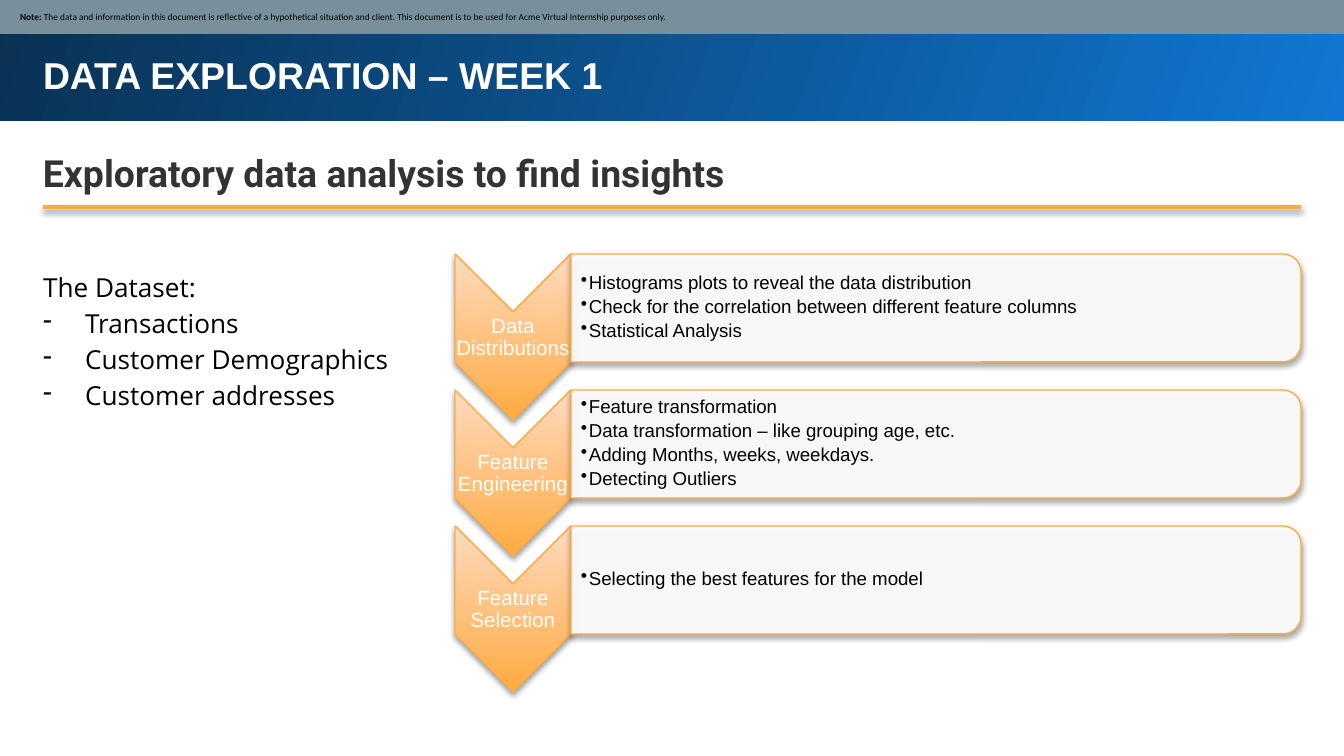
from dataclasses import dataclass

from pptx import Presentation
from pptx.dml.color import RGBColor
from pptx.enum.shapes import MSO_CONNECTOR, MSO_SHAPE
from pptx.enum.text import MSO_ANCHOR, PP_ALIGN
from pptx.oxml import parse_xml
from pptx.oxml.ns import nsdecls, qn
from pptx.util import Emu, Pt

RECTANGLE, CHEVRON = MSO_SHAPE.RECTANGLE, MSO_SHAPE.CHEVRON
ROUNDED_PANEL = MSO_SHAPE.ROUND_2_SAME_RECTANGLE
STRAIGHT = MSO_CONNECTOR.STRAIGHT
TOP, MIDDLE = MSO_ANCHOR.TOP, MSO_ANCHOR.MIDDLE
LEFT, CENTER = PP_ALIGN.LEFT, PP_ALIGN.CENTER

WHITE = RGBColor(0xFF, 0xFF, 0xFF)
BLACK = RGBColor(0, 0, 0)
CHARCOAL = RGBColor(0x33, 0x33, 0x33)
SLATE = RGBColor(0x78, 0x90, 0x9C)
ORANGE = RGBColor(0xFF, 0xAB, 0x40)
PEACH = RGBColor(0xFF, 0xDA, 0xC0)
BRIGHT_BLUE = RGBColor(0x10, 0x77, 0xD2)
NAVY = RGBColor(0x09, 0x31, 0x53)

EMU_PER_PIXEL = 914400 / 134.4
SLIDE_WIDTH, SLIDE_HEIGHT = 1344, 756
STEP_TOP, STEP_PITCH = 254, 136
CHEVRON_LEFT, CHEVRON_WIDTH, CHEVRON_HEIGHT = 455, 116, 166
PANEL_LEFT, PANEL_WIDTH, PANEL_HEIGHT = 571, 730, 108


@dataclass(frozen=True)
class Box:
    left: int
    top: int
    width: int
    height: int

    def emu(self) -> tuple[Emu, ...]:
        return tuple(map(px, (self.left, self.top, self.width, self.height)))

    def quarter_turned(self) -> "Box":
        shift = (self.width - self.height) // 2
        return Box(self.left + shift, self.top - shift, self.height, self.width)


@dataclass(frozen=True)
class Style:
    name: str
    size: float
    color: RGBColor
    bold: bool = False
    align: PP_ALIGN = LEFT
    line_spacing: float = 1.0
    space_after: float = 0


@dataclass(frozen=True)
class Step:
    label: str
    points: tuple[str, ...]


TITLE = Style("Arial", 20, WHITE, bold=True)
SUBTITLE = Style("Roboto", 20, CHARCOAL, bold=True, line_spacing=1.15)
NOTE = Style("Calibri", 5, BLACK)
DATASET = Style("Open Sans", 14, BLACK, line_spacing=1.15)
LABEL = Style("Arial", 11, WHITE, align=CENTER, line_spacing=0.9)
POINT = Style("Arial", 10, BLACK, line_spacing=0.9, space_after=2)

STEPS = (
    Step("Data Distributions", (
        "Histograms plots to reveal the data distribution",
        "Check for the correlation between different feature columns",
        "Statistical Analysis")),
    Step("Feature Engineering", (
        "Feature transformation",
        "Data transformation – like grouping age, etc.",
        "Adding Months, weeks, weekdays.",
        "Detecting Outliers")),
    Step("Feature Selection", ("Selecting the best features for the model",)),
)


def px(pixels: float) -> Emu:
    return Emu(round(pixels * EMU_PER_PIXEL))


def set_values(target, **values) -> None:
    for name, value in values.items():
        setattr(target, name, value)


def prepare_frame(frame, insets: tuple[int, ...], anchor=TOP) -> None:
    left, top, right, bottom = map(px, insets)
    set_values(frame, word_wrap=True, vertical_anchor=anchor, margin_left=left,
               margin_top=top, margin_right=right, margin_bottom=bottom)


def add_run(paragraph, text: str, style: Style, **overrides) -> None:
    run = paragraph.add_run()
    run.text = text
    set_values(run.font, **{"name": style.name, "size": Pt(style.size),
                            "bold": style.bold, **overrides})
    run.font.color.rgb = style.color


def format_paragraph(paragraph, style: Style) -> None:
    set_values(paragraph, alignment=style.align, line_spacing=style.line_spacing,
               space_before=Pt(0), space_after=Pt(style.space_after))


def write_lines(frame, lines: tuple[str, ...], style: Style, bullet: str = "",
                indent: int = 0, first_bullet: int = 0) -> None:
    for index, line in enumerate(lines):
        paragraph = frame.add_paragraph() if index else frame.paragraphs[0]
        format_paragraph(paragraph, style)
        add_run(paragraph, line, style)
        if bullet and index >= first_bullet:
            properties = paragraph._p.get_or_add_pPr()
            properties.set("marL", str(px(indent)))
            properties.set("indent", str(-px(indent)))
            properties.append(parse_xml(f'<a:buChar {nsdecls("a")} char="{bullet}"/>'))


def add_text(slide, box: Box, insets: tuple[int, ...], anchor=TOP):
    frame = slide.shapes.add_textbox(*box.emu()).text_frame
    prepare_frame(frame, insets, anchor)
    return frame


def add_filled(slide, kind, box: Box, color: RGBColor, outline: bool = False):
    shape = slide.shapes.add_shape(kind, *box.emu())
    shape.shadow.inherit = False
    shape.fill.solid()
    shape.fill.fore_color.rgb = color
    if outline:
        shape.line.color.rgb = ORANGE
        shape.line.width = Pt(0.75)
    else:
        shape.line.fill.background()
    return shape


def set_gradient(shape, start: RGBColor, end: RGBColor, angle: int) -> None:
    properties = shape._element.spPr
    properties.replace(properties.find(qn("a:solidFill")), parse_xml(
        f'<a:gradFill {nsdecls("a")} rotWithShape="0"><a:gsLst>'
        f'<a:gs pos="0"><a:srgbClr val="{start}"/></a:gs>'
        f'<a:gs pos="100000"><a:srgbClr val="{end}"/></a:gs></a:gsLst>'
        f'<a:lin ang="{angle * 60000}" scaled="0"/></a:gradFill>'))


def add_shadow(shape, opacity: int, distance: float) -> None:
    properties = shape._element.spPr
    effects = properties.find(qn("a:effectLst"))
    if effects is None:
        effects = parse_xml(f'<a:effectLst {nsdecls("a")}/>')
        properties.append(effects)
    effects.append(parse_xml(
        f'<a:outerShdw {nsdecls("a")} blurRad="{Pt(3)}" dist="{Pt(distance)}" '
        f'dir="5400000" rotWithShape="0"><a:srgbClr val="{BLACK}">'
        f'<a:alpha val="{opacity * 1000}"/></a:srgbClr></a:outerShdw>'))


def add_step(slide, step: Step, top: int) -> None:
    # Downward chevron and its label
    chevron_box = Box(CHEVRON_LEFT, top, CHEVRON_WIDTH, CHEVRON_HEIGHT)
    chevron = add_filled(slide, CHEVRON, chevron_box.quarter_turned(), ORANGE, outline=True)
    chevron.rotation = 90
    set_gradient(chevron, ORANGE, PEACH, 270)
    add_shadow(chevron, 38, 1.6)
    label_box = Box(CHEVRON_LEFT, top + 59, CHEVRON_WIDTH, 50)
    write_lines(add_text(slide, label_box, (1, 1, 1, 1), MIDDLE), (step.label,), LABEL)

    # Panel rounded on the right and its points
    panel_box = Box(PANEL_LEFT, top, PANEL_WIDTH, PANEL_HEIGHT)
    panel = add_filled(slide, ROUNDED_PANEL, panel_box.quarter_turned(), WHITE, outline=True)
    panel.rotation = 90
    panel._element.spPr.find(qn("a:solidFill"))[0].append(
        parse_xml(f'<a:alpha {nsdecls("a")} val="90000"/>'))
    add_shadow(panel, 35, 1.8)
    points_box = Box(PANEL_LEFT, top + 5, PANEL_WIDTH - 5, PANEL_HEIGHT - 11)
    write_lines(add_text(slide, points_box, (10, 1, 1, 1), MIDDLE),
                step.points, POINT, "•", 8)


def main() -> None:
    presentation = Presentation()
    set_values(presentation, slide_width=px(SLIDE_WIDTH), slide_height=px(SLIDE_HEIGHT))
    slide = presentation.slides.add_slide(presentation.slide_layouts[5])

    # Header band and title
    header = add_filled(slide, RECTANGLE, Box(-3, -3, 1347, 124), BRIGHT_BLUE)
    set_gradient(header, BRIGHT_BLUE, NAVY, 200)
    title = slide.shapes.title
    slide.shapes._spTree.append(title._element)
    set_values(title, **dict(zip(("left", "top", "width", "height"),
                                 Box(30, 39, 1259, 73).emu())))
    prepare_frame(title.text_frame, (13, 13, 13, 13))
    write_lines(title.text_frame, ("DATA EXPLORATION – WEEK 1",), TITLE)

    # Subtitle and rule
    subtitle = add_text(slide, Box(30, 130, 1259, 75), (13, 13, 13, 13))
    write_lines(subtitle, ("Exploratory data analysis to find insights",), SUBTITLE)
    rule = slide.shapes.add_connector(STRAIGHT, px(43), px(207), px(1301), px(207))
    rule.line.color.rgb = ORANGE
    rule.line.width = Pt(2)
    add_shadow(rule, 38, 1.6)

    # Note strip
    strip = add_filled(slide, RECTANGLE, Box(-1, -1, 1345, 35), SLATE)
    prepare_frame(strip.text_frame, (21, 7, 7, 7), MIDDLE)
    note = strip.text_frame.paragraphs[0]
    format_paragraph(note, NOTE)
    add_run(note, "Note: ", NOTE, bold=True)
    add_run(note, "The data and information in this document is reflective of a "
            "hypothetical situation and client. This document is to be used for "
            "Acme Virtual Internship purposes only.", NOTE)

    # Process steps
    for index, step in enumerate(STEPS):
        add_step(slide, step, STEP_TOP + index * STEP_PITCH)

    # Dataset list
    dataset = add_text(slide, Box(30, 254, 382, 171), (13, 13, 13, 13))
    write_lines(dataset, ("The Dataset:", "Transactions", "Customer Demographics",
                          "Customer addresses"), DATASET, "-", 42, first_bullet=1)

    presentation.save("out.pptx")


main()
